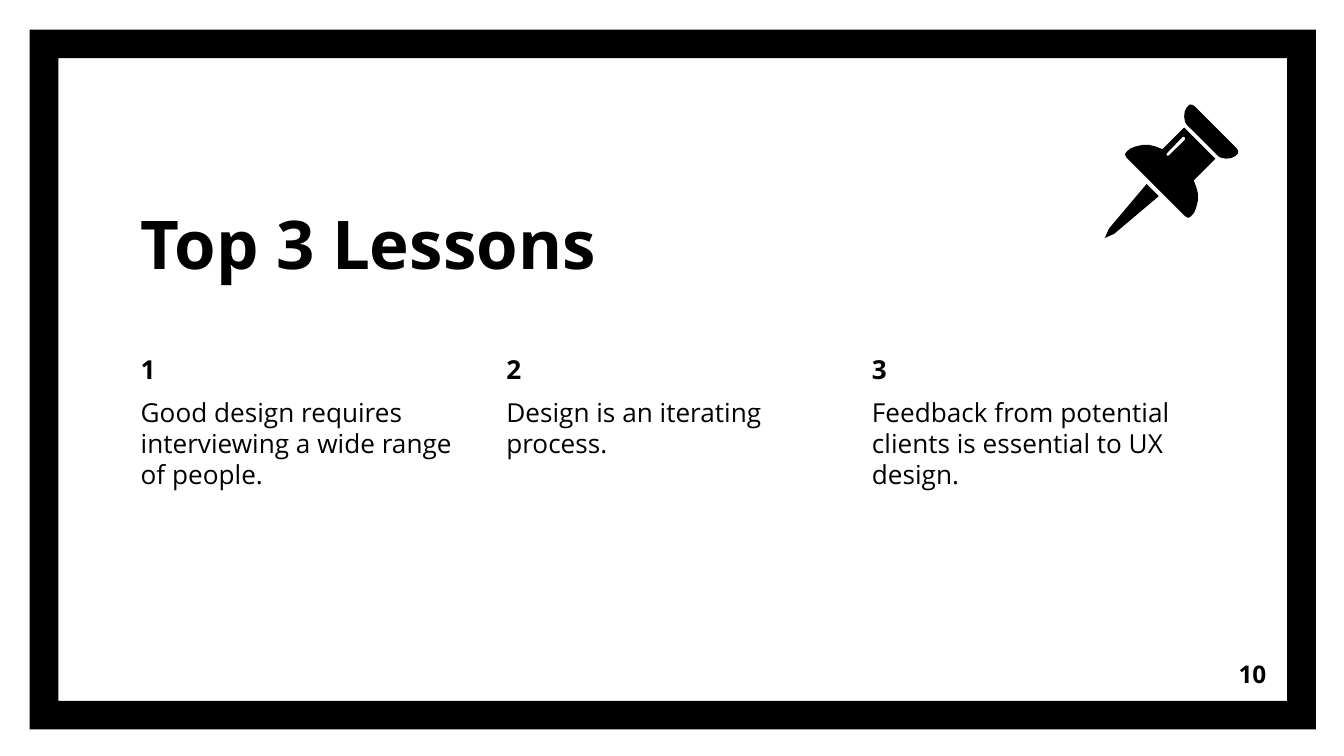
from dataclasses import dataclass

from pptx import Presentation
from pptx.dml.color import RGBColor
from pptx.enum.shapes import MSO_SHAPE
from pptx.enum.text import MSO_ANCHOR, PP_ALIGN
from pptx.util import Cm, Pt

COLOURS = {"ink": "000000", "paper": "FFFFFF"}
FONT = "Open Sans"
LEFT_MARGIN = 2.41
COLUMN_PITCH = 6.91
PIN_AXIS = 25.38  # the pin is symmetric about the line x + y = PIN_AXIS

Point = tuple[float, float]


@dataclass(frozen=True)
class Box:
    left: float
    top: float
    width: float
    height: float

    def lengths(self) -> tuple[Cm, Cm, Cm, Cm]:
        return Cm(self.left), Cm(self.top), Cm(self.width), Cm(self.height)


@dataclass(frozen=True)
class Line:
    text: str
    bold: bool = True


@dataclass(frozen=True)
class PinPart:
    half_outline: list[Point]
    hole: tuple[Point, ...] = ()


LESSONS = [
    "Good design requires interviewing a wide range of people.",
    "Design is an iterating process.",
    "Feedback from potential clients is essential to UX design.",
]

NEEDLE = PinPart([(21.67, 3.48), (20.96, 4.32), (20.88, 4.5)])
HEAD = PinPart([
    (22.58, 2.01), (22.53, 1.98), (22.48, 1.98), (22.43, 2.03),
    (22.39, 2.11), (22.38, 2.21), (22.4, 2.31), (22.43, 2.36),
])
BODY = PinPart(
    [
        (22.38, 2.41), (21.97, 2.82), (21.84, 2.77), (21.72, 2.74), (21.59, 2.74),
        (21.46, 2.77), (21.36, 2.81), (21.29, 2.87), (21.26, 2.92), (21.29, 2.98),
    ],
    hole=(
        (22.35, 2.59), (22.39, 2.59), (22.4, 2.62), (22.4, 2.64),
        (22.1, 2.93), (22.07, 2.95), (22.05, 2.93), (22.05, 2.9),
    ),
)


def colour(name: str) -> RGBColor:
    return RGBColor.from_string(COLOURS[name])


def paint(shape) -> None:
    shape.fill.solid()
    shape.fill.fore_color.rgb = colour("ink")
    shape.line.fill.background()
    shape.shadow.inherit = False


def add_text(slide, box: Box, lines: list[Line], *, size: float, space_before: float = 0,
             align=PP_ALIGN.LEFT, anchor=MSO_ANCHOR.TOP) -> None:
    frame = slide.shapes.add_textbox(*box.lengths()).text_frame
    frame.word_wrap = True
    frame.vertical_anchor = anchor
    frame.margin_left = frame.margin_right = Cm(0.25)
    frame.margin_top = frame.margin_bottom = Cm(0.25)
    for index, line in enumerate(lines):
        paragraph = frame.add_paragraph() if index else frame.paragraphs[0]
        paragraph.alignment = align
        paragraph.space_before = Pt(space_before)
        run = paragraph.add_run()
        run.text = line.text
        run.font.name = FONT
        run.font.size = Pt(size)
        run.font.bold = line.bold
        run.font.color.rgb = colour("ink")


def add_border(slide) -> None:
    border = slide.shapes.add_shape(MSO_SHAPE.FRAME, *Box(0.56, 0.56, 24.31, 13.23).lengths())
    border.adjustments[0] = 0.041
    paint(border)


def add_pin_part(pin, part: PinPart) -> None:
    """Complete the half outline by reflection in the pin's axis, then cut the hole."""
    reflection = [(PIN_AXIS - y, PIN_AXIS - x) for x, y in reversed(part.half_outline)]
    start, *others = [(Cm(x), Cm(y)) for x, y in part.half_outline + reflection]
    outline = pin.shapes.build_freeform(*start)
    outline.add_line_segments(others)
    if part.hole:
        hole_start, *hole_others = [(Cm(x), Cm(y)) for x, y in part.hole]
        outline.move_to(*hole_start)
        outline.add_line_segments(hole_others)
    paint(outline.convert_to_shape())


def main() -> None:
    presentation = Presentation()
    presentation.slide_width = Cm(25.4)
    presentation.slide_height = Cm(14.29)
    slide = presentation.slides.add_slide(presentation.slide_layouts[6])
    slide.background.fill.solid()
    slide.background.fill.fore_color.rgb = colour("paper")

    add_border(slide)
    add_text(slide, Box(LEFT_MARGIN, 2.62, 14.15, 2.97), [Line("Top 3 Lessons")],
             size=36, anchor=MSO_ANCHOR.BOTTOM)
    for index, lesson in enumerate(LESSONS):
        column = Box(LEFT_MARGIN + index * COLUMN_PITCH, 6.43, 6.58, 5.66)
        add_text(slide, column, [Line(str(index + 1)), Line(lesson, bold=False)],
                 size=14, space_before=6)

    pin = slide.shapes.add_group_shape()
    for part in (NEEDLE, HEAD, BODY):
        add_pin_part(pin, part)

    add_text(slide, Box(22.66, 12.19, 1.52, 1.09), [Line("10")],
             size=13, align=PP_ALIGN.RIGHT, anchor=MSO_ANCHOR.MIDDLE)
    presentation.save("out.pptx")


if __name__ == "__main__":
    main()
